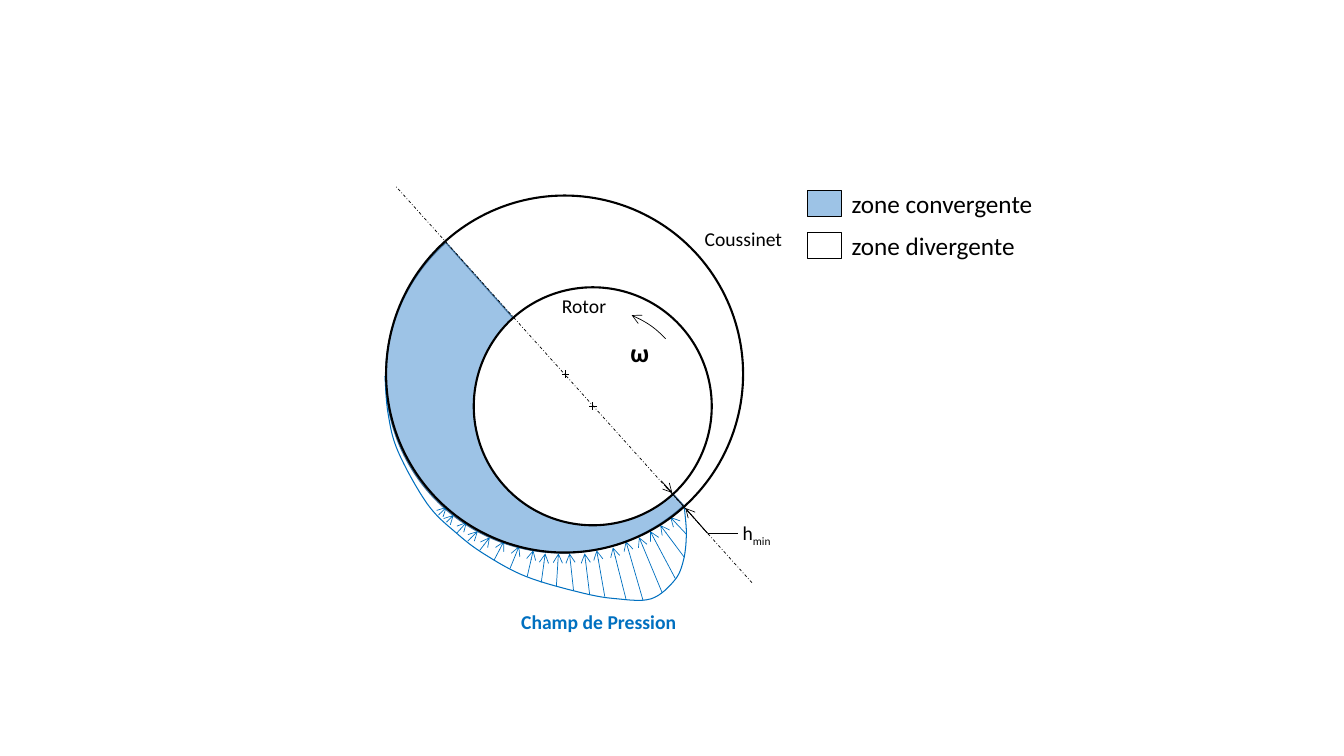
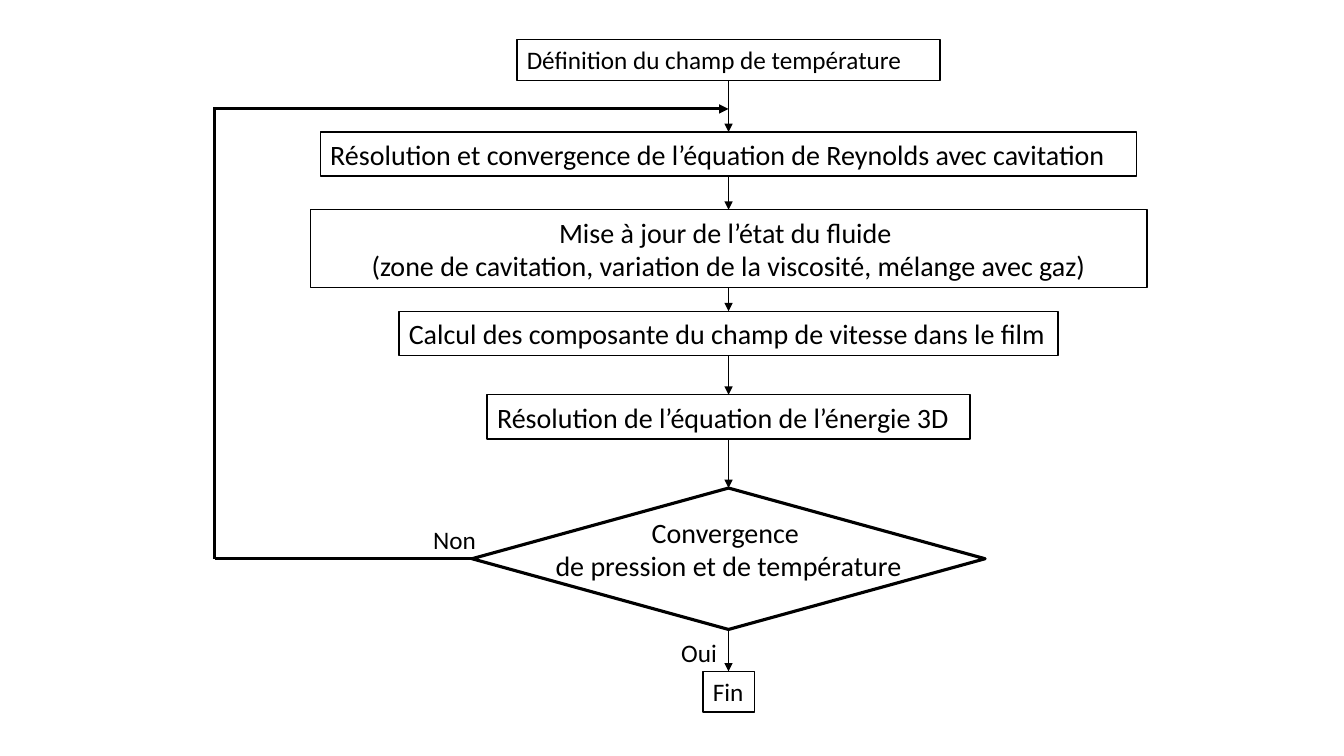
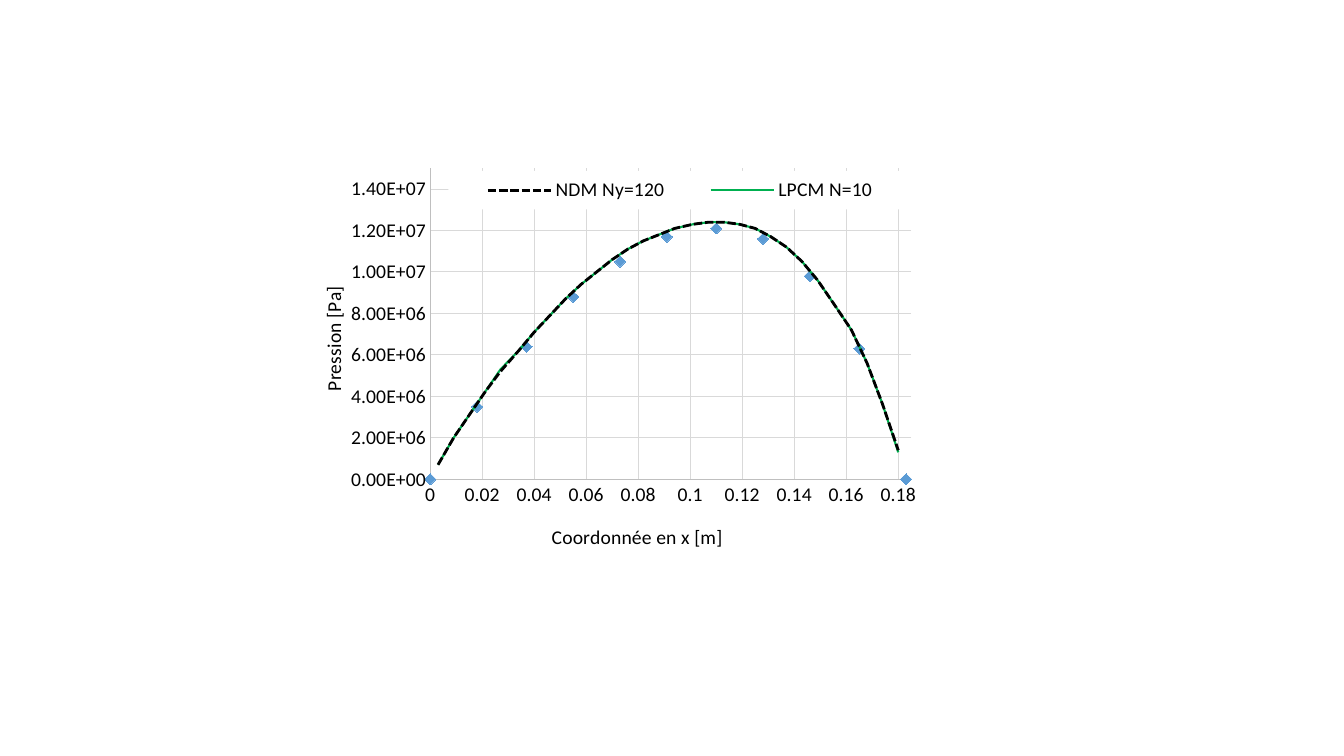
from dataclasses import dataclass
from itertools import pairwise
from typing import NamedTuple

from lxml import etree
from pptx import Presentation
from pptx.chart.data import XyChartData
from pptx.dml.color import RGBColor
from pptx.enum.chart import XL_CHART_TYPE, XL_LEGEND_POSITION, XL_MARKER_STYLE, XL_TICK_MARK
from pptx.enum.dml import MSO_LINE
from pptx.enum.shapes import MSO_CONNECTOR, MSO_SHAPE
from pptx.enum.text import PP_ALIGN
from pptx.oxml.ns import qn
from pptx.util import Pt

LEFT, MID = PP_ALIGN.LEFT, PP_ALIGN.CENTER
RECT, OVAL, PIE = MSO_SHAPE.RECTANGLE, MSO_SHAPE.OVAL, MSO_SHAPE.PIE
ARC, CHOICE = MSO_SHAPE.ARC, MSO_SHAPE.FLOWCHART_DECISION
STRAIGHT = MSO_CONNECTOR.STRAIGHT
DASHDOT, DASH = MSO_LINE.DASH_DOT, MSO_LINE.SQUARE_DOT
SCATTER = XL_CHART_TYPE.XY_SCATTER_SMOOTH_NO_MARKERS
TOP, NO_TICK, DIAMOND = XL_LEGEND_POSITION.TOP, XL_TICK_MARK.NONE, XL_MARKER_STYLE.DIAMOND
UP, WEST, DOWN = 0, 1, 2


@dataclass(frozen=True)
class Theme:
    font: str = "Calibri"
    black: RGBColor = RGBColor(0, 0, 0)
    white: RGBColor = RGBColor(255, 255, 255)
    zone: RGBColor = RGBColor.from_string("9DC3E6")
    edge: RGBColor = RGBColor.from_string("43739E")
    press: RGBColor = RGBColor.from_string("0070C0")
    green: RGBColor = RGBColor.from_string("00B050")
    mark: RGBColor = RGBColor.from_string("5B9BD5")
    axis: RGBColor = RGBColor.from_string("BFBFBF")
    grid: RGBColor = RGBColor.from_string("D9D9D9")
    small: int = 14
    note: int = 18
    body: int = 20
    large: int = 32


THEME = Theme()


class Area(NamedTuple):
    x: float
    y: float
    w: float
    h: float


class Point(NamedTuple):
    x: float
    y: float


class Step(NamedTuple):
    text: str
    top: float
    wide: float
    high: float
    size: int = THEME.body
    align: PP_ALIGN = LEFT
    wrap: bool = True


class Curve(NamedTuple):
    name: str
    xs: tuple
    ys: tuple
    color: RGBColor
    width: float = 0
    dash: MSO_LINE | None = None


def pen(line, color, width, dash=None) -> None:
    line.color.rgb = color
    line.width = Pt(width)
    if dash is not None:
        line.dash_style = dash


def tip(shape, end: str, kind: str) -> None:
    """Put an arrowhead on one end: headEnd or tailEnd."""
    etree.SubElement(shape.element.spPr.find(qn("a:ln")), qn(f"a:{end}"), type=kind)


def draw(slide, kind, area: Area, fill=None, line=THEME.black, width: float = 1):
    shape = slide.shapes.add_shape(kind, *map(Pt, area))
    shape.shadow.inherit = False
    if fill is None:
        shape.fill.background()
    else:
        shape.fill.solid()
        shape.fill.fore_color.rgb = fill
    pen(shape.line, line, width)
    return shape


def link(slide, start: Point, end: Point, color=THEME.black, width: float = 0.5,
         head: str = "", dash=None):
    line = slide.shapes.add_connector(STRAIGHT, *map(Pt, (*start, *end)))
    pen(line.line, color, width, dash)
    if head:
        tip(line, "tailEnd", head)
    etree.SubElement(line.element.spPr, qn("a:effectLst"))
    return line


def style(font, size: int = THEME.small, color=THEME.black, bold: bool = False) -> None:
    font.name = THEME.font
    font.size = Pt(size)
    font.bold = bold
    font.color.rgb = color


def write(shape, text: str, size: int = THEME.small, align=MID, color=THEME.black,
          bold: bool = False, wrap: bool = True):
    frame = shape.text_frame
    frame.word_wrap = wrap
    para = frame.paragraphs[0]
    para.text = text
    para.alignment = align
    for run in para.runs:
        style(run.font, size, color, bold)
    return para


def label(slide, area: Area, text: str, *args, **more):
    return write(slide.shapes.add_textbox(*map(Pt, area)), text, *args, **more)


def lower(run) -> None:
    """Make a run subscript."""
    run.font._element.set("baseline", "-25000")


def bend(knots: list[Point], parts: int = 8) -> list[Point]:
    """Return points of the Catmull-Rom curve through the knots."""
    ends = [knots[0], *knots, knots[-1]]
    points = [knots[0]]
    for a, b, c, d in zip(ends, ends[1:], ends[2:], ends[3:]):
        for part in range(1, parts + 1):
            t = part / parts
            points.append(Point(*(
                (2 * q + (r - p) * t + (2 * p - 5 * q + 4 * r - s) * t**2
                 + (3 * q - p - 3 * r + s) * t**3) / 2
                for p, q, r, s in zip(a, b, c, d))))
    return points


KNOTS = [Point(*pair) for pair in (
    (275, 268.6), (277.2, 295.2), (284.4, 322.6), (305.3, 360), (326.2, 380.9),
    (346.3, 396), (375.8, 411.8), (415.4, 423.4), (440.6, 427.7), (465.1, 427.7),
    (481.7, 414.7), (488.2, 400.3), (490.3, 381.6), (488.9, 362.9))]

# Pressure arrows, from left to right: start x, y and end x, y
LOADS = (
    (313.2, 367.9, 319, 362.2), (319, 373, 324, 367.9), (326.2, 380.9, 333.4, 373),
    (334.1, 386.6, 341.3, 379.4), (342.7, 393.1, 349.9, 383.8),
    (352.8, 400.3, 360, 386.6), (364.3, 406.1, 370.8, 390.2),
    (376.6, 411.8, 380.9, 393.1), (386.6, 416.2, 389.5, 395.3),
    (397.4, 419, 398.9, 395.3), (409.7, 421.9, 406.8, 395.3),
    (421.2, 424.8, 417.6, 395.3), (432, 426.2, 426.2, 393.1),
    (447.1, 427.7, 437.8, 391), (459.4, 429.1, 447.1, 386.6),
    (473, 423.4, 456.5, 383.8), (482.4, 413.3, 464.4, 379.4),
    (488.9, 398.2, 471.6, 375.1), (490.3, 381.6, 478.8, 369.4))


def field(slide) -> None:
    """Draw the pressure curve and its arrows."""
    first, *rest = [(Pt(x), Pt(y)) for x, y in bend(KNOTS)]
    build = slide.shapes.build_freeform(*first)
    build.add_line_segments(rest, close=False)
    curve = build.convert_to_shape()
    curve.shadow.inherit = False
    curve.fill.background()
    pen(curve.line, THEME.press, 0.75)
    for x, y, u, v in LOADS:
        link(slide, Point(x, y), Point(u, v), THEME.press, head="arrow")


def bearing(slide) -> None:
    wedge = draw(slide, PIE, Area(275, 141.1, 255.6, 253.4), THEME.zone, THEME.edge)
    wedge.rotation = 318.3
    wedge.adjustments[0], wedge.adjustments[1] = 53.52, 162
    draw(slide, OVAL, Area(338.4, 205.2, 170, 170), THEME.white, width=1.5)
    field(slide)

    elbow = Point(505.4, 380.9)
    link(slide, elbow, Point(489.6, 362.9), head="arrow")
    link(slide, Point(472.3, 343.4), Point(480.2, 352.1), head="arrow")
    link(slide, elbow, Point(474.5, 346.3))
    link(slide, elbow, Point(527, 380.9))
    gap = label(slide, Area(520.6, 368.6, 39.6, 24.2), "h")
    sub = gap.add_run()
    sub.text = "min"
    style(sub.font)
    lower(sub)

    draw(slide, OVAL, Area(275.8, 139.7, 255, 255), width=1.5)
    label(slide, Area(326.2, 432, 203, 24.2), "Champ de Pression",
          color=THEME.press, bold=True)
    turn = draw(slide, ARC, Area(352.8, 219.6, 141.8, 141.8), width=0.5)
    turn.rotation = 350
    turn.adjustments[0], turn.adjustments[1] = 181.72, 196.1
    tip(turn, "headEnd", "arrow")
    label(slide, Area(463, 158.4, 136, 24.2), "Coussinet")
    label(slide, Area(349.2, 206.6, 136, 24.2), "Rotor")
    link(slide, Point(537.1, 416.2), Point(282.2, 132.5), dash=DASHDOT)
    arm = 2.7
    for x, y in (Point(403.9, 267.3), Point(423.4, 290.2)):
        link(slide, Point(x, y - arm), Point(x, y + arm), width=0.75)
        link(slide, Point(x + arm, y), Point(x - arm, y), width=0.75)
    speed = label(slide, Area(430.6, 215.3, 52.6, 33.1), "ω", THEME.large, bold=True)
    lower(speed.runs[0])

    keys = (("zone convergente", THEME.zone, 145.4), ("zone divergente", THEME.white, 132.5))
    for row, (text, fill, wide) in enumerate(keys):
        drop = row * 29.8
        draw(slide, RECT, Area(576.7, 136.1 + drop, 24.5, 18.7), fill)
        label(slide, Area(601.2, 131 + drop, wide, 29.1), text, THEME.note, LEFT,
              wrap=False)


STEPS = (
    Step("Définition du champ de température", 28.2, 302.4, 29.1, THEME.note),
    Step("Résolution et convergence de l’équation de Reynolds avec cavitation",
         94.3, 583.2, 31.5),
    Step("Mise à jour de l’état du fluide \n"
         "(zone de cavitation, variation de la viscosité, mélange avec gaz)",
         149.8, 597.6, 55.7, align=MID),
    Step("Calcul des composante du champ de vitesse dans le film", 222.3, 470.9, 31.5),
    Step("Résolution de l’équation de l’énergie 3D", 282, 344.9, 31.5),
    Step("", 348.6, 366.5, 101),
    Step("Fin", 479.6, 36.7, 29.1, THEME.note, wrap=False),
)


def flow(slide) -> None:
    axis = 520.4
    boxes = []
    for step in STEPS:
        area = Area(axis - step.wide / 2, step.top, step.wide, step.high)
        if step.text:
            box = draw(slide, RECT, area, THEME.white)
            write(box, step.text, step.size, step.align, wrap=step.wrap)
        else:
            box = test = draw(slide, CHOICE, area, THEME.white, width=2.25)
            label(slide, Area(axis - 158.4, 364.3, 316.8, 55.7),
                  "Convergence \nde pression et de température", THEME.body)
        boxes.append(box)
    for above, below in pairwise(boxes):
        line = link(slide, Point(axis, 0), Point(axis, 10), head="triangle")
        line.begin_connect(above, DOWN)
        line.end_connect(below, UP)

    side, base, back = 153.4, 399.1, 77.8
    exit = link(slide, Point(337, base), Point(side, base), width=2.25)
    exit.begin_connect(test, WEST)
    link(slide, Point(side, base), Point(side, back - 1.1), width=2.25)
    link(slide, Point(side, back), Point(axis, back), width=2.25, head="triangle")
    label(slide, Area(302.4, 370.8, 45.4, 29.1), "Non", THEME.note, LEFT, wrap=False)
    label(slide, Area(479.5, 451.4, 40.3, 29.1), "Oui", THEME.note, LEFT, wrap=False)


SPOTS = (3, 9, 15, 21, 27, 34, 40, 46, 52, 58, 64, 70, 76, 82, 88, 94, 101, 107, 113,
         119, 125, 131, 137, 143, 149, 155, 162, 168, 174, 180)
NDM = (7, 20, 31, 42, 52, 62, 71, 79, 87, 94, 100, 106, 111, 115, 118, 121, 123, 124,
       124, 123, 121, 117, 112, 105, 96, 85, 72, 56, 36, 14)
LPCM = (*NDM[:4], 53, *NDM[5:-1], 13)

# Places in millimetres, pressures in bar
CURVES = (
    Curve("NDM Ny=120", SPOTS, NDM, THEME.black, 2, DASH),
    Curve("LPCM N=10", SPOTS, LPCM, THEME.green, 1.5),
    Curve("Référence", (0, 18, 37, 55, 73, 91, 110, 128, 146, 165, 183),
          (0, 35, 64, 88, 105, 117, 121, 116, 98, 63, 0), THEME.mark),
)


def place(host, index: int, **spots: float) -> None:
    """Give a chart part a manual layout, as shares of the chart's size."""
    for old in host.findall(qn("c:layout")):
        host.remove(old)
    layout = etree.Element(qn("c:layout"))
    host.insert(index, layout)
    manual = etree.SubElement(layout, qn("c:manualLayout"))
    if host.tag == qn("c:plotArea"):
        etree.SubElement(manual, qn("c:layoutTarget"), val="inner")
    for mode in ("xMode", "yMode"):
        etree.SubElement(manual, qn(f"c:{mode}"), val="edge")
    for key, share in spots.items():
        etree.SubElement(manual, qn(f"c:{key}"), val=str(share))


def scale(axis, text: str, top: float, unit: float, code: str, x: float, y: float):
    """Set up an axis and return its title element."""
    axis.minimum_scale, axis.maximum_scale, axis.major_unit = 0, top, unit
    axis.major_tick_mark = axis.minor_tick_mark = NO_TICK
    axis.has_major_gridlines = True
    pen(axis.major_gridlines.format.line, THEME.grid, 0.75)
    pen(axis.format.line, THEME.axis, 0.75)
    ticks = axis.tick_labels
    ticks.number_format, ticks.number_format_is_linked = code, False
    style(ticks.font)
    para = axis.axis_title.text_frame.paragraphs[0]
    para.text = text
    style(para.runs[0].font)
    title = axis.axis_title._element
    place(title, 1, x=x, y=y)
    return title


def graph(slide) -> None:
    data = XyChartData()
    for curve in CURVES:
        points = data.add_series(curve.name)
        for x, y in zip(curve.xs, curve.ys):
            points.add_data_point(x / 1000, y * 100000)
    area = Area(216.7, 103.7, 460, 293)
    chart = slide.shapes.add_chart(SCATTER, *map(Pt, area), data).chart
    chart.has_title = False
    style(chart.font)
    plot = chart.plots[0]
    plot.vary_by_categories = False
    for series, curve in zip(plot.series, CURVES):
        series.smooth = True
        if curve.width:
            pen(series.format.line, curve.color, curve.width, curve.dash)
            continue
        series.format.line.fill.background()
        mark = series.marker
        mark.style, mark.size = DIAMOND, 8
        mark.format.fill.solid()
        mark.format.fill.fore_color.rgb = curve.color
        mark.format.line.color.rgb = curve.color

    scale(chart.category_axis, "Coordonnée en x [m]", 0.185, 0.02, "General", 0.38, 0.92)
    title = scale(chart.value_axis, "Pression [Pa]", 15000000, 2000000, "0.00E+00",
                  0.02, 0.34)
    turn = title.find(f".//{qn('a:bodyPr')}")
    turn.set("rot", "-5400000")
    turn.set("vert", "horz")
    place(chart._chartSpace.chart.plotArea, 0, x=0.197, y=0.057, w=0.747, h=0.764)

    chart.has_legend = True
    legend = chart.legend
    legend.position = TOP
    legend.include_in_layout = False
    style(legend.font)
    host = legend._element
    entry = etree.Element(qn("c:legendEntry"))
    etree.SubElement(entry, qn("c:idx"), val="2")
    etree.SubElement(entry, qn("c:delete"), val="1")
    host.insert(1, entry)
    place(host, 2, x=0.225, y=0.063, w=0.72, h=0.095)
    back = etree.Element(qn("c:spPr"))
    fill = etree.SubElement(back, qn("a:solidFill"))
    etree.SubElement(fill, qn("a:srgbClr"), val=str(THEME.white))
    host.find(qn("c:overlay")).addnext(back)


def main() -> None:
    deck = Presentation()
    deck.slide_width, deck.slide_height = Pt(960), Pt(540)
    blank = deck.slide_layouts[6]
    for fill in (bearing, flow, graph):
        fill(deck.slides.add_slide(blank))
    deck.save("out.pptx")


if __name__ == "__main__":
    main()
